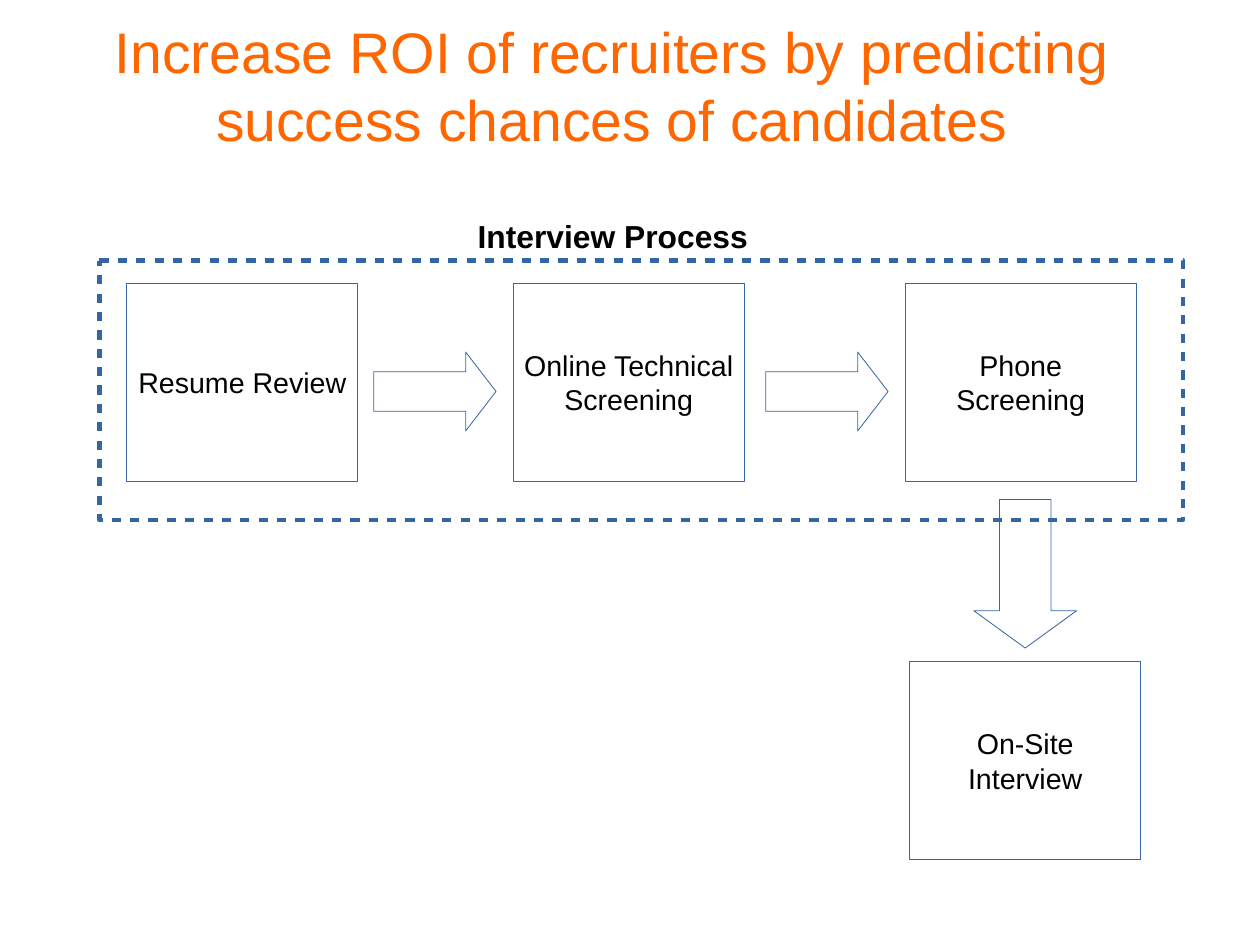
from dataclasses import dataclass

from lxml import etree
from pptx import Presentation
from pptx.dml.color import RGBColor
from pptx.enum.shapes import MSO_SHAPE
from pptx.enum.text import MSO_ANCHOR, PP_ALIGN
from pptx.oxml.ns import qn
from pptx.util import Inches, Pt

PROCESS = MSO_SHAPE.FLOWCHART_PROCESS
RIGHT_ARROW = MSO_SHAPE.RIGHT_ARROW
DOWN_ARROW = MSO_SHAPE.DOWN_ARROW
TOP, MIDDLE = MSO_ANCHOR.TOP, MSO_ANCHOR.MIDDLE
LEFT, CENTER = PP_ALIGN.LEFT, PP_ALIGN.CENTER


@dataclass(frozen=True)
class Theme:
    """Colours, type sizes and line widths of the slide."""
    font: str = "Arial"
    title_color: RGBColor = RGBColor(0xFF, 0x66, 0x00)
    text_color: RGBColor = RGBColor(0, 0, 0)
    line_color: RGBColor = RGBColor(0x34, 0x65, 0xA4)
    title_size: float = 36
    heading_size: float = 20
    stage_size: float = 18
    thin_line: float = 0.5
    frame_line: float = 2.89


THEME = Theme()
CM_PER_INCH = 2.54
SLIDE_WIDTH = Inches(28 / CM_PER_INCH)
SLIDE_HEIGHT = Inches(21 / CM_PER_INCH)
STAGE_SIZE = (2.02, 1.73)
STAGE_TOP = 2.48
ARROW_LEFT, ARROW_PITCH = 3.27, 3.43
SCREENING_STAGES = [
    ("Resume Review", 1.11),
    ("Online Technical Screening", 4.49),
    ("Phone Screening", 7.92),
]


def apply_format(target, values):
    """Set each named attribute on the target."""
    for name, value in values.items():
        setattr(target, name, value)


def write_text(frame, text, size, color, insets, anchor, align, bold=False):
    """Fill a text frame with one formatted paragraph."""
    across, down = (Inches(inset) for inset in insets)
    apply_format(frame, {
        "word_wrap": True, "vertical_anchor": anchor,
        "margin_left": across, "margin_right": across,
        "margin_top": down, "margin_bottom": down,
    })
    paragraph = frame.paragraphs[0]
    paragraph.alignment = align
    run = paragraph.add_run()
    run.text = text
    apply_format(run.font, {"name": THEME.font, "size": Pt(size), "bold": bold})
    run.font.color.rgb = color


def add_label(slide, box, text, *style, **options):
    """Add a free-standing line of text."""
    label = slide.shapes.add_textbox(*map(Inches, box))
    write_text(label.text_frame, text, *style, **options)


def add_outline(slide, kind, box, width=THEME.thin_line):
    """Add an unfilled preset shape."""
    outline = slide.shapes.add_shape(kind, *map(Inches, box))
    outline.shadow.inherit = False
    outline.fill.background()
    outline.line.color.rgb = THEME.line_color
    outline.line.width = Pt(width)
    return outline


def add_stage(slide, left, top, name):
    """Add one box of the interview process."""
    stage = add_outline(slide, PROCESS, (left, top, *STAGE_SIZE))
    write_text(stage.text_frame, name, THEME.stage_size, THEME.text_color,
               (0.07, 0.03), MIDDLE, CENTER)


def add_arrow(slide, kind, box, head):
    """Add a block arrow with the given head proportion."""
    arrow = add_outline(slide, kind, box)
    arrow.adjustments[0] = 0.5
    arrow.adjustments[1] = head


def add_dashed_frame(slide, box):
    """Add the evenly dashed frame around the screening stages."""
    frame = add_outline(slide, PROCESS, box, THEME.frame_line)
    line = frame.element.spPr.find(qn("a:ln"))
    dashes = etree.SubElement(line, qn("a:custDash"))
    etree.SubElement(dashes, qn("a:ds"), d="200000", sp="200000")


def main():
    """Build the slide and save it."""
    deck = Presentation()
    deck.slide_width = SLIDE_WIDTH
    deck.slide_height = SLIDE_HEIGHT
    slide = deck.slides.add_slide(deck.slide_layouts[6])

    add_label(slide, (0.39, 0.18, 9.92, 1.12),
              "Increase ROI of recruiters by predicting success chances of candidates",
              THEME.title_size, THEME.title_color, (0, 0), MIDDLE, CENTER)
    add_label(slide, (4.08, 1.85, 3.12, 0.72), "Interview Process",
              THEME.heading_size, THEME.text_color, (0.1, 0.05), TOP, LEFT, bold=True)

    for name, left in SCREENING_STAGES:
        add_stage(slide, left, STAGE_TOP, name)
    for step in range(len(SCREENING_STAGES) - 1):
        left = ARROW_LEFT + step * ARROW_PITCH
        add_arrow(slide, RIGHT_ARROW, (left, 3.08, 1.07, 0.69), 0.385)
    add_arrow(slide, DOWN_ARROW, (8.52, 4.37, 0.9, 1.3), 0.363)
    add_stage(slide, 7.96, 5.79, "On-Site Interview")
    add_dashed_frame(slide, (0.87, 2.28, 9.48, 2.27))

    deck.save("out.pptx")


if __name__ == "__main__":
    main()
